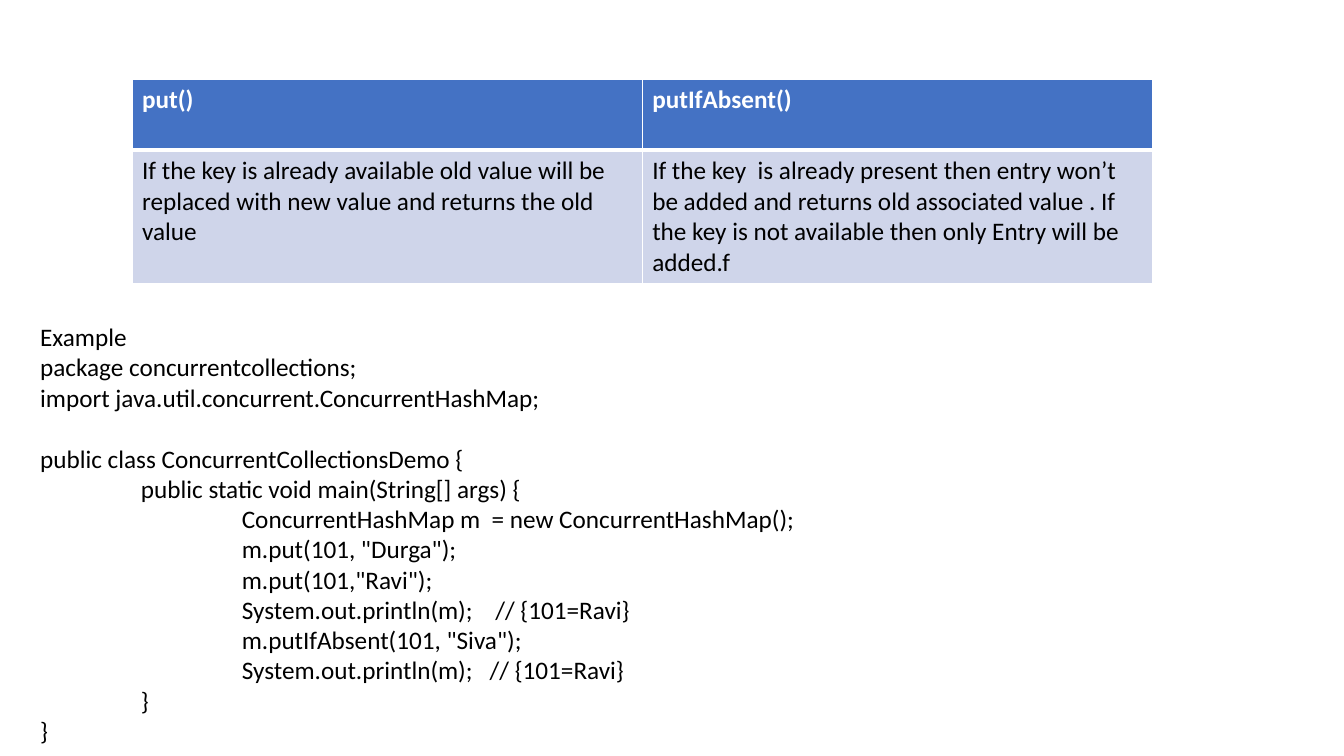
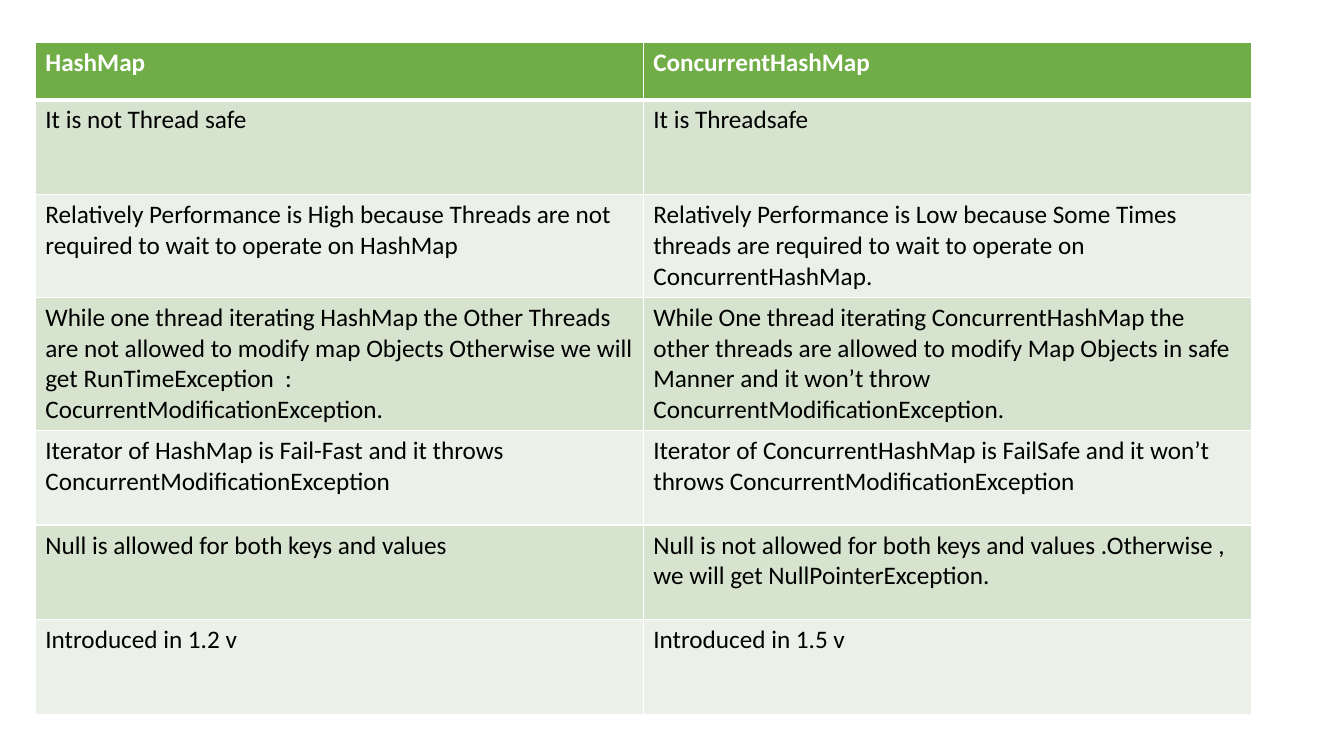
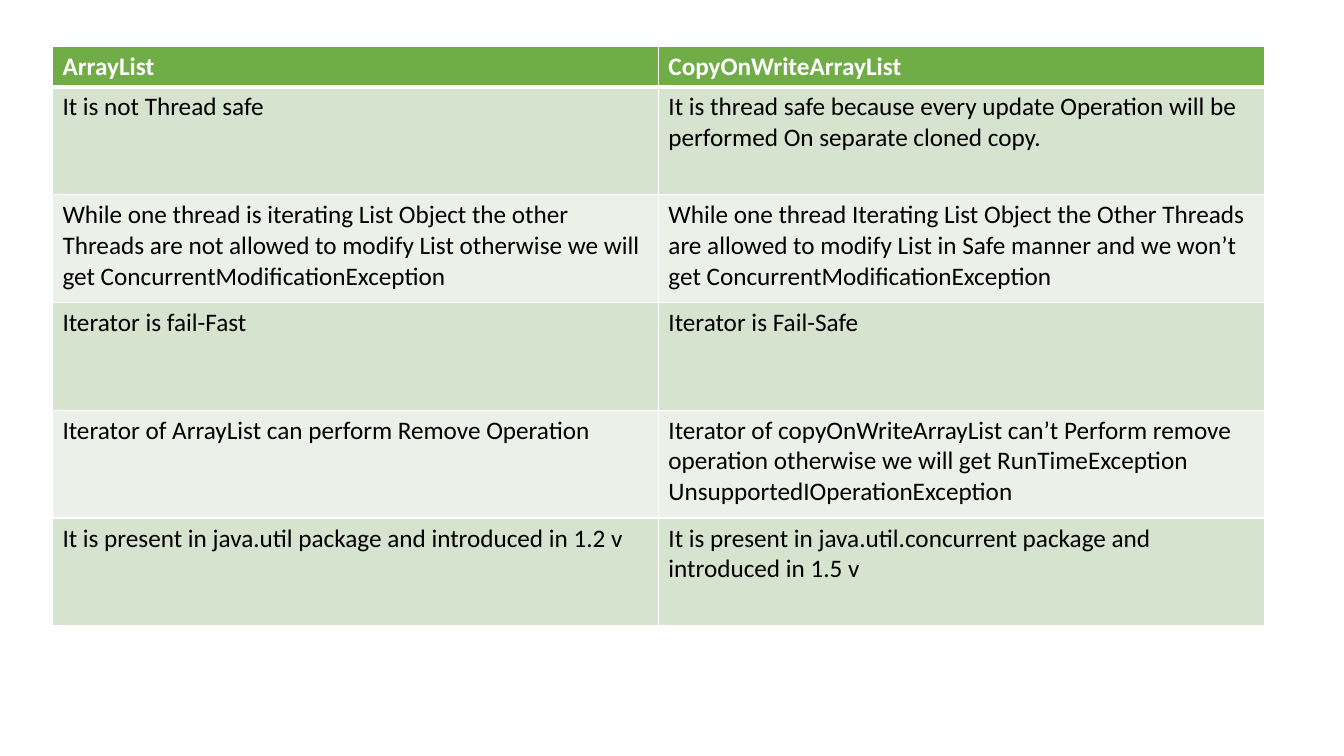
from dataclasses import dataclass

from lxml import etree
from pptx import Presentation
from pptx.dml.color import RGBColor
from pptx.enum.text import MSO_ANCHOR, MSO_AUTO_SIZE, PP_ALIGN
from pptx.oxml.ns import qn
from pptx.util import Inches, Pt

LEFT = PP_ALIGN.LEFT
TOP = MSO_ANCHOR.TOP
FIT_SHAPE = MSO_AUTO_SIZE.SHAPE_TO_FIT_TEXT
BLANK_LAYOUT = 6


@dataclass(frozen=True)
class Palette:
    header: str
    bands: tuple


@dataclass(frozen=True)
class Theme:
    font: str = "Calibri"
    size: int = 18
    white: str = "FFFFFF"
    black: str = "000000"
    thin: float = 1
    thick: float = 3
    line_gap: int = 22
    code_indent: float = 1
    blue: Palette = Palette("4472C4", ("CFD5EA",))
    green: Palette = Palette("70AD47", ("D5E3CF", "EBF1E9"))


THEME = Theme()

# Content
PUT_ROWS = [
    ("put()", "putIfAbsent()"),
    ("If the key is already available old value will be replaced with new value "
     "and returns the old value",
     "If the key  is already present then entry won’t be added and returns old "
     "associated value . If the key is not available then only Entry will be added.f"),
]

MAP_ROWS = [
    ("HashMap", "ConcurrentHashMap"),
    ("It is not Thread safe", "It is Threadsafe"),
    ("Relatively Performance is High because Threads are not required to wait to "
     "operate on HashMap",
     "Relatively Performance is Low because Some Times threads are required to wait "
     "to operate on ConcurrentHashMap."),
    ("While one thread iterating HashMap the Other Threads are not allowed to modify "
     "map Objects Otherwise we will get RunTimeException  : "
     "CocurrentModificationException.",
     "While One thread iterating ConcurrentHashMap the other threads are allowed to "
     "modify Map Objects in safe Manner and it won’t throw "
     "ConcurrentModificationException."),
    ("Iterator of HashMap is Fail-Fast and it throws ConcurrentModificationException",
     "Iterator of ConcurrentHashMap is FailSafe and it won’t throws "
     "ConcurrentModificationException"),
    ("Null is allowed for both keys and values",
     "Null is not allowed for both keys and values .Otherwise , we will get "
     "NullPointerException."),
    ("Introduced in 1.2 v", "Introduced in 1.5 v"),
]

LIST_ROWS = [
    ("ArrayList", "CopyOnWriteArrayList"),
    ("It is not Thread safe",
     "It is thread safe because every update Operation will be performed On separate "
     "cloned copy."),
    ("While one thread is iterating List Object the other Threads are not allowed to "
     "modify List otherwise we will get ConcurrentModificationException",
     "While one thread Iterating List Object the Other Threads are allowed to modify "
     "List in Safe manner and we won’t get ConcurrentModificationException"),
    ("Iterator is fail-Fast", "Iterator is Fail-Safe"),
    ("Iterator of ArrayList can perform Remove Operation",
     "Iterator of copyOnWriteArrayList can’t Perform remove operation otherwise we "
     "will get RunTimeException\nUnsupportedIOperationException"),
    ("It is present in java.util package and introduced in 1.2 v",
     "It is present in java.util.concurrent package and introduced in 1.5 v"),
]

# Blocks of code lines, each line with its indent level
CODE_BLOCKS = [
    [(0, "Example"),
     (0, "package concurrentcollections;"),
     (0, "import java.util.concurrent.ConcurrentHashMap;")],
    [(0, "public class ConcurrentCollectionsDemo {"),
     (1, "public static void main(String[] args) {"),
     (2, "ConcurrentHashMap m  = new ConcurrentHashMap();"),
     (2, 'm.put(101, "Durga");'),
     (2, 'm.put(101,"Ravi");'),
     (2, "System.out.println(m);    // {101=Ravi}"),
     (2, 'm.putIfAbsent(101, "Siva");'),
     (2, "System.out.println(m);   // {101=Ravi}"),
     (1, "}"),
     (0, "}")],
]

# Left, top and column width, row heights, palette, rows
COMPARISONS = [
    ((1.31, 0.79, 5.06), [0.7, 1.32], THEME.blue, PUT_ROWS),
    ((0.35, 0.42, 6.03), [0.57, 0.94, 1.02, 1.32] + [0.94] * 3, THEME.green, MAP_ROWS),
    ((0.52, 0.46, 6.01), [0.38] + [1.07] * 5, THEME.green, LIST_ROWS),
]
CODE_BOX = (0.3, 3.14, 12.79, 4.34)


# Text
def write(paragraph, text, color=THEME.black, bold=False, indent=0, before=0):
    paragraph.alignment = LEFT
    paragraph.space_before = Pt(before)
    if indent:
        properties = paragraph._p.get_or_add_pPr()
        properties.set("marL", str(Inches(indent)))
        properties.set("indent", "0")
    run = paragraph.add_run()
    run.text = text
    run.font.name = THEME.font
    run.font.size = Pt(THEME.size)
    run.font.bold = bold
    run.font.color.rgb = RGBColor.from_string(color)


def next_paragraph(frame, index):
    return frame.add_paragraph() if index else frame.paragraphs[0]


# Tables
def set_borders(cell, top, bottom):
    properties = cell._tc.get_or_add_tcPr()
    widths = {"a:lnL": THEME.thin, "a:lnR": THEME.thin, "a:lnT": top, "a:lnB": bottom}
    for tag, width in widths.items():
        line = etree.SubElement(properties, qn(tag), w=str(Pt(width)))
        fill = etree.SubElement(line, qn("a:solidFill"))
        etree.SubElement(fill, qn("a:srgbClr"), val=THEME.white)


def add_comparison(slide, place, heights, palette, rows):
    left, top, column_width = place
    columns = len(rows[0])
    table = slide.shapes.add_table(
        len(rows), columns, Inches(left), Inches(top),
        Inches(column_width * columns), Inches(sum(heights))).table
    for column in table.columns:
        column.width = Inches(column_width)
    for row_index, (texts, height) in enumerate(zip(rows, heights)):
        table.rows[row_index].height = Inches(height)
        header = row_index == 0
        fill = palette.header if header else palette.bands[(row_index - 1) % len(palette.bands)]
        for column_index, text in enumerate(texts):
            cell = table.cell(row_index, column_index)
            cell.vertical_anchor = TOP
            set_borders(cell,
                        top=THEME.thick if row_index == 1 else THEME.thin,
                        bottom=THEME.thick if header else THEME.thin)
            cell.fill.solid()
            cell.fill.fore_color.rgb = RGBColor.from_string(fill)
            for index, line in enumerate(text.split("\n")):
                write(next_paragraph(cell.text_frame, index), line, bold=header,
                      color=THEME.white if header else THEME.black)


# Code listing
def add_code(slide, place, blocks):
    frame = slide.shapes.add_textbox(*map(Inches, place)).text_frame
    frame.word_wrap = True
    frame.auto_size = FIT_SHAPE
    written = 0
    for block in blocks:
        for position, (level, text) in enumerate(block):
            starts_block = written > 0 and position == 0
            write(next_paragraph(frame, written), text,
                  indent=level * THEME.code_indent,
                  before=THEME.line_gap if starts_block else 0)
            written += 1


# Slides
presentation = Presentation()
presentation.slide_width = Inches(13.33)
presentation.slide_height = Inches(7.5)
slides = []
for comparison in COMPARISONS:
    slide = presentation.slides.add_slide(presentation.slide_layouts[BLANK_LAYOUT])
    add_comparison(slide, *comparison)
    slides.append(slide)
add_code(slides[0], CODE_BOX, CODE_BLOCKS)
presentation.save("out.pptx")
